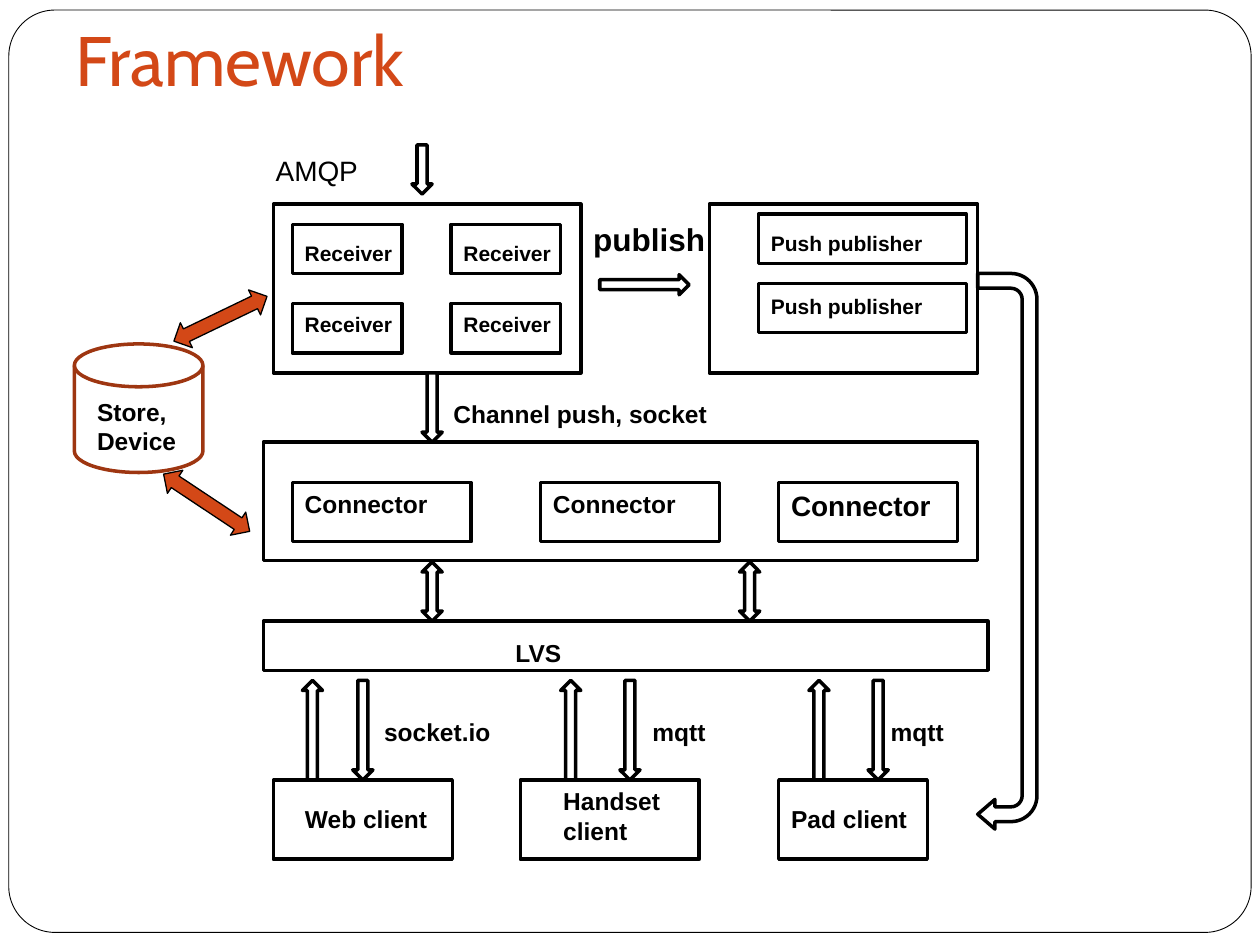
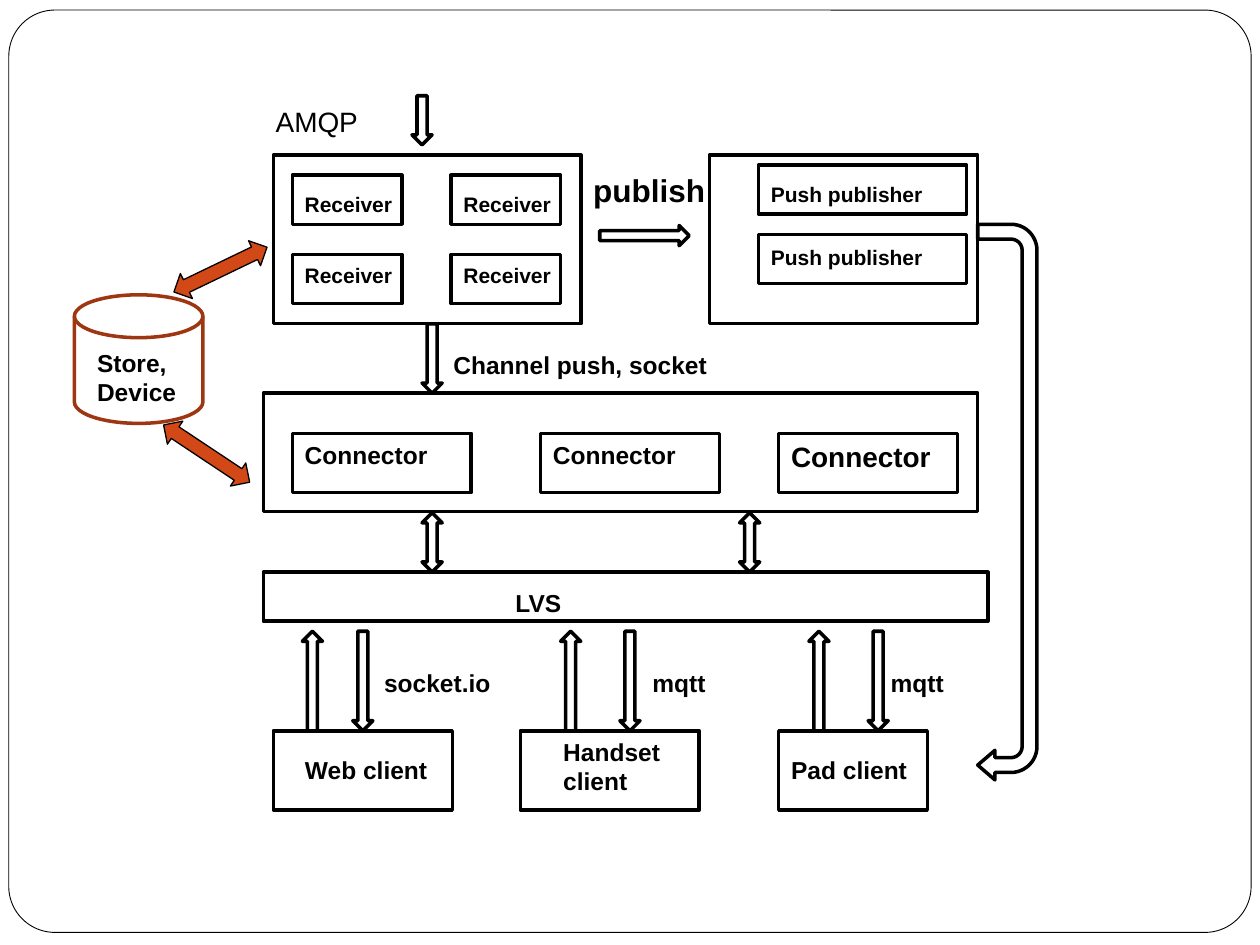
from dataclasses import dataclass

from pptx import Presentation
from pptx.dml.color import RGBColor
from pptx.enum.shapes import MSO_SHAPE
from pptx.enum.text import MSO_ANCHOR, PP_ALIGN
from pptx.shapes.autoshape import Shape
from pptx.shapes.group import GroupShape
from pptx.slide import Slide
from pptx.text.text import TextFrame
from pptx.util import Inches, Pt

COLORS = {
    "paper": "FFFFFF",
    "ink": "000000",
    "accent": "D34817",
    "accent_dark": "9E3611",
}
BODY_FONT = "Arial"
TITLE_FONT = "Cabin"


@dataclass(frozen=True)
class Box:
    """An outlined shape whose text starts at the given insets."""
    left: float
    top: float
    width: float
    height: float
    text: str = ""
    size: int = 14
    inset_left: float = 0.1
    inset_top: float = 0.05
    kind: MSO_SHAPE = MSO_SHAPE.RECTANGLE
    line: str = "ink"


@dataclass(frozen=True)
class Arrow:
    kind: MSO_SHAPE
    left: float
    top: float
    width: float
    height: float
    rotation: float = 0
    fill: str = "paper"
    weight: float = 2
    adjustments: tuple[float, ...] = ()


@dataclass(frozen=True)
class Label:
    text: str
    left: float
    top: float
    width: float
    height: float
    size: int = 14
    bold: bool = True


@dataclass(frozen=True)
class Client:
    """A client box with its two arrows to the load balancer."""
    box: Box
    up_left: float
    down_left: float
    protocol: Label


TIERS = [
    Box(2.17, 1.62, 2.44, 1.34),
    Box(5.63, 1.62, 2.13, 1.34),
    Box(2.09, 3.51, 5.67, 0.94),
    Box(2.09, 4.93, 5.75, 0.39, "LVS", inset_left=2.0, inset_top=0.13),
]
RECEIVERS = [
    Box(left, top, 0.87, 0.39, "Receiver", 12, inset_top=inset_top)
    for top, inset_top in ((1.78, 0.13), (2.41, 0.06))
    for left in (2.32, 3.58)
]
PUBLISHERS = [
    Box(6.02, top, 1.65, 0.39, "Push publisher", 12, inset_top=inset_top)
    for top, inset_top in ((1.7, 0.13), (2.25, 0.08))
]
CONNECTORS = [
    Box(left, 3.83, 1.42, 0.47, "Connector", size)
    for left, size in ((2.32, 14), (4.29, 14), (6.18, 16))
]
STORE = Box(0.59, 2.73, 1.02, 1.02, "Store,\nDevice", inset_left=0.18,
            inset_top=0.08, kind=MSO_SHAPE.FLOWCHART_MAGNETIC_DISK,
            line="accent_dark")
CLIENTS = [
    Client(Box(2.17, 6.19, 1.42, 0.63, "Web client", inset_left=0.25,
               inset_top=0.19),
           2.4, 2.8, Label("socket.io", 2.95, 5.64, 1.81, 0.34)),
    Client(Box(4.13, 6.19, 1.42, 0.63, "Handset client", inset_left=0.34),
           4.45, 4.92, Label("mqtt", 5.08, 5.64, 1.1, 0.34)),
    Client(Box(6.18, 6.19, 1.18, 0.63, "Pad client", inset_top=0.19),
           6.42, 6.89, Label("mqtt", 6.97, 5.64, 1.1, 0.34)),
]
ARROWS = [
    Arrow(MSO_SHAPE.DOWN_ARROW, 3.27, 1.15, 0.16, 0.39),
    Arrow(MSO_SHAPE.RIGHT_ARROW, 4.76, 2.18, 0.71, 0.16),
    Arrow(MSO_SHAPE.DOWN_ARROW, 3.35, 2.96, 0.16, 0.55),
    Arrow(MSO_SHAPE.U_TURN_ARROW, 5.79, 4.14, 4.41, 0.47, rotation=90,
          adjustments=(0.25, 0.25, 0.29, 0.44, 1)),
    Arrow(MSO_SHAPE.UP_DOWN_ARROW, 3.35, 4.46, 0.16, 0.47),
    Arrow(MSO_SHAPE.UP_DOWN_ARROW, 5.87, 4.46, 0.16, 0.47),
    Arrow(MSO_SHAPE.LEFT_RIGHT_ARROW, 1.34, 2.42, 0.82, 0.22, 334.3,
          "accent", 0.75),
    Arrow(MSO_SHAPE.LEFT_RIGHT_ARROW, 1.23, 3.88, 0.82, 0.22, 33.6,
          "accent", 0.75),
]
LABELS = [
    Label("AMQP", 2.09, 1.17, 1.1, 0.37, 16, bold=False),
    Label("publish", 4.61, 1.7, 1.1, 0.4, 18),
    Label("Channel push, socket", 3.5, 3.12, 2.83, 0.34),
]


def rgb(name: str) -> RGBColor:
    return RGBColor.from_string(COLORS[name])


def style(sp: Shape, fill: str, line: str, weight: float) -> None:
    sp.shadow.inherit = False
    sp.fill.solid()
    sp.fill.fore_color.rgb = rgb(fill)
    sp.line.color.rgb = rgb(line)
    sp.line.width = Pt(weight)


def write(tf: TextFrame, text: str, size: int, bold: bool = True,
          font: str = BODY_FONT, color: str = "ink") -> None:
    """Put one left-aligned paragraph per line of text."""
    tf.word_wrap = True
    tf.vertical_anchor = MSO_ANCHOR.TOP
    for i, line in enumerate(text.split("\n")):
        p = tf.add_paragraph() if i else tf.paragraphs[0]
        p.alignment = PP_ALIGN.LEFT
        r = p.add_run()
        r.text = line
        r.font.name = font
        r.font.size = Pt(size)
        r.font.bold = bold
        r.font.color.rgb = rgb(color)


def draw_box(group: GroupShape, box: Box, dy: float) -> None:
    sp = group.shapes.add_shape(box.kind, Inches(box.left),
                                Inches(box.top + dy), Inches(box.width),
                                Inches(box.height))
    style(sp, "paper", box.line, 2)
    if box.text:
        tf = sp.text_frame
        tf.margin_left = Inches(box.inset_left)
        tf.margin_top = Inches(box.inset_top)
        tf.margin_right = tf.margin_bottom = Inches(0)
        write(tf, box.text, box.size)


def draw_arrow(group: GroupShape, arrow: Arrow, dy: float) -> None:
    sp = group.shapes.add_shape(arrow.kind, Inches(arrow.left),
                                Inches(arrow.top + dy), Inches(arrow.width),
                                Inches(arrow.height))
    for i, value in enumerate(arrow.adjustments):
        sp.adjustments[i] = value
    sp.rotation = arrow.rotation
    style(sp, arrow.fill, "ink", arrow.weight)


def draw_label(group: GroupShape, label: Label, dy: float) -> None:
    sp = group.shapes.add_textbox(Inches(label.left), Inches(label.top + dy),
                                  Inches(label.width), Inches(label.height))
    write(sp.text_frame, label.text, label.size, label.bold)


def draw_client(group: GroupShape, client: Client, dy: float) -> None:
    draw_box(group, client.box, dy)
    for kind, left in ((MSO_SHAPE.UP_ARROW, client.up_left),
                       (MSO_SHAPE.DOWN_ARROW, client.down_left)):
        draw_arrow(group, Arrow(kind, left, 5.4, 0.16, 0.79), dy)
    draw_label(group, client.protocol, dy)


def draw_framework(s: Slide, dy: float = 0) -> None:
    """Draw the whole diagram, moved down by dy inches."""
    group = s.shapes.add_group_shape()
    for box in [*TIERS, *RECEIVERS, *PUBLISHERS, *CONNECTORS, STORE]:
        draw_box(group, box, dy)
    for client in CLIENTS:
        draw_client(group, client, dy)
    for arrow in ARROWS:
        draw_arrow(group, arrow, dy)
    for label in LABELS:
        draw_label(group, label, dy)


def add_framed_slide(prs: Presentation) -> Slide:
    s = prs.slides.add_slide(prs.slide_layouts[6])
    sp = s.shapes.add_shape(MSO_SHAPE.ROUNDED_RECTANGLE, Inches(0.07),
                            Inches(0.08), Inches(9.86), Inches(7.32))
    sp.adjustments[0] = 0.05
    style(sp, "paper", "ink", 0.5)
    return s


def add_title(s: Slide, text: str) -> None:
    sp = s.shapes.add_textbox(Inches(0.5), Inches(0.08), Inches(9),
                              Inches(0.78))
    write(sp.text_frame, text, 40, False, TITLE_FONT, "accent")


def main() -> None:
    prs = Presentation()
    prs.slide_width, prs.slide_height = Inches(10), Inches(7.5)

    s = add_framed_slide(prs)
    add_title(s, "Framework")
    draw_framework(s)

    s = add_framed_slide(prs)
    draw_framework(s, dy=-0.39)

    prs.save("out.pptx")


if __name__ == "__main__":
    main()
